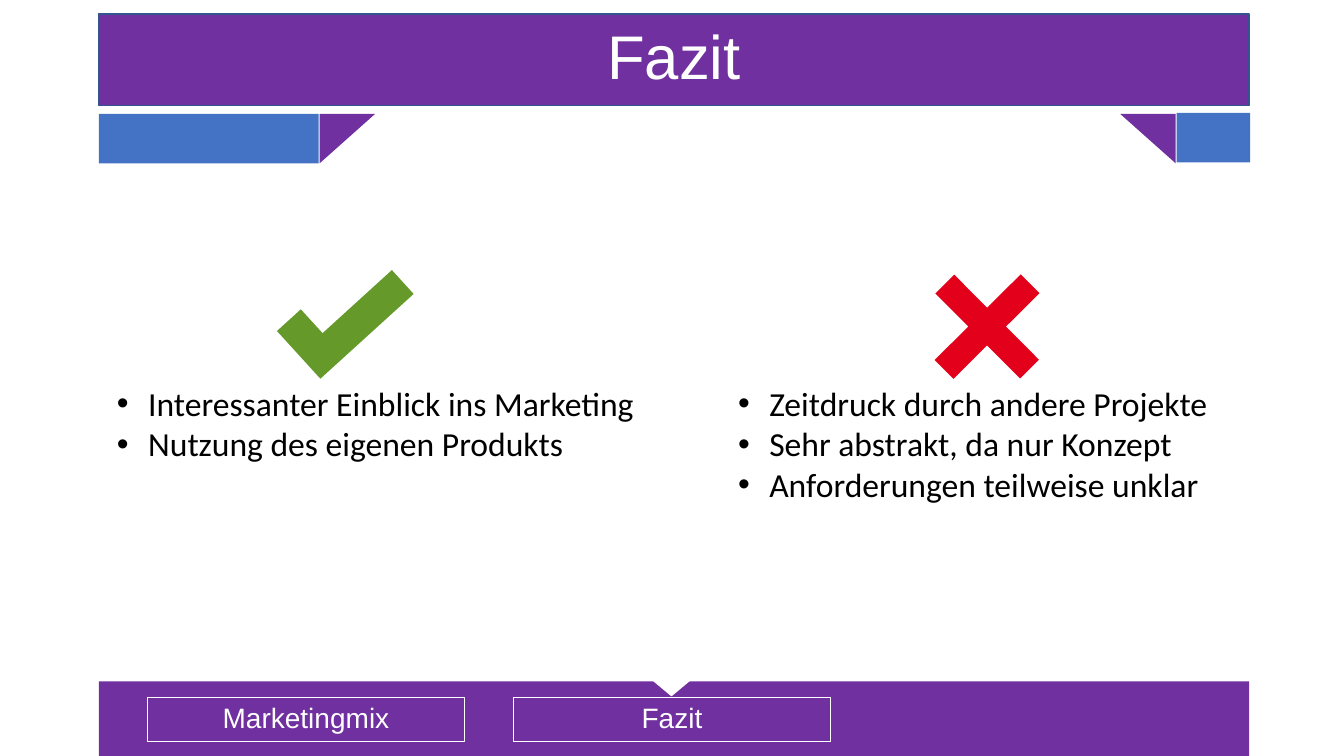
"""Build the closing slide with its pros, cons and section bar."""
from lxml import etree
from pptx import Presentation
from pptx.dml.color import RGBColor
from pptx.enum.shapes import MSO_SHAPE
from pptx.enum.text import MSO_ANCHOR, MSO_AUTO_SIZE, PP_ALIGN
from pptx.oxml.ns import qn
from pptx.util import Inches, Pt

RECT = MSO_SHAPE.RECTANGLE
WEDGE = MSO_SHAPE.RIGHT_TRIANGLE
NOTCH = MSO_SHAPE.ISOSCELES_TRIANGLE
CROSS = MSO_SHAPE.MATH_PLUS
MIDDLE, TOP = MSO_ANCHOR.MIDDLE, MSO_ANCHOR.TOP
CENTER, LEFT = PP_ALIGN.CENTER, PP_ALIGN.LEFT
FIXED = MSO_AUTO_SIZE.NONE

PURPLE = RGBColor(0x70, 0x30, 0xA0)
BLUE = RGBColor(0x44, 0x72, 0xC4)
NAVY = RGBColor(0x32, 0x54, 0x91)
GREEN = RGBColor(0x65, 0x9A, 0x2A)
RED = RGBColor(0xE2, 0x00, 0x1A)
WHITE = RGBColor(0xFF, 0xFF, 0xFF)
BLACK = RGBColor(0x00, 0x00, 0x00)


class Deck:
    """Hold the style and the current slide."""

    head, body = "Arial", "Calibri"

    def __init__(self, slide):
        self.slide = slide
        self.slots = {p.placeholder_format.idx: p for p in slide.placeholders}

    def edge(self, shape, color, width):
        """Outline a shape."""
        shape.line.color.rgb = color
        shape.line.width = Pt(width)

    def shape(self, kind, box, fill, turn=0, flip=None):
        """Add a filled preset shape."""
        item = self.slide.shapes.add_shape(kind, *map(Inches, box))
        item.shadow.inherit = False
        item.fill.solid()
        item.fill.fore_color.rgb = fill
        item.line.fill.background()
        item.rotation = turn
        if flip:
            item.element.spPr.find(qn("a:xfrm")).set(flip, "1")
        return item

    def check(self, box, fill, turn):
        """Add a check mark from a turned corner shape."""
        item = self.shape(RECT, box, fill, turn)
        item.element.spPr.find(qn("a:prstGeom")).set("prst", "corner")

    def text(self, slot, box, lines, size, font, color, align, anchor, space):
        """Fill a placeholder and bring it to the front."""
        item = self.slots[slot]
        item.element.getparent().append(item.element)
        item.left, item.top, item.width, item.height = map(Inches, box)
        frame = item.text_frame
        frame.text = "\n".join(lines)
        frame.word_wrap = True
        frame.auto_size = FIXED
        frame.vertical_anchor = anchor
        for para in frame.paragraphs:
            para.alignment = align
            para.line_spacing = space
            para.space_before = Pt(0)
            for run in para.runs:
                run.font.name = font
                run.font.size = Pt(size)
                run.font.bold = False
                run.font.color.rgb = color
        return item

    def title(self, box, words):
        """Set the title band."""
        item = self.text(0, box, [words], 44, self.head, WHITE, CENTER, MIDDLE, 0.9)
        item.fill.solid()
        item.fill.fore_color.rgb = PURPLE
        self.edge(item, NAVY, 1)

    def tab(self, slot, box, words):
        """Set an outlined section label."""
        item = self.text(slot, box, [words], 20, self.head, WHITE, CENTER, MIDDLE, 0.9)
        item.text_frame.paragraphs[0].space_before = Pt(10)
        self.edge(item, WHITE, 0.75)

    def list(self, slot, box, lines):
        """Set a bulleted list."""
        item = self.text(slot, box, lines, 24, self.body, BLACK, LEFT, TOP, 1.0)
        for para in item.text_frame.paragraphs:
            props = para._p.get_or_add_pPr()
            props.set("marL", str(Inches(0.31)))
            props.set("indent", str(-Inches(0.31)))
            etree.SubElement(props, qn("a:buFont")).set("typeface", "Arial")
            etree.SubElement(props, qn("a:buChar")).set("char", "•")


show = Presentation()
show.slide_width, show.slide_height = Inches(13.33), Inches(7.5)
deck = Deck(show.slides.add_slide(show.slide_layouts[4]))
edge, span = 0.98, 11.41

deck.shape(RECT, (edge, 6.76, span, 0.74), PURPLE)
notch = deck.shape(NOTCH, (6.48, 6.75, 0.36, 0.15), WHITE, flip="flipV")
deck.edge(notch, WHITE, 1)
deck.shape(RECT, (edge, 1.13, 2.18, 0.49), BLUE)
deck.shape(WEDGE, (3.2, 1.1, 0.49, 0.55), PURPLE, 90)
deck.shape(RECT, (11.67, 1.12, 0.73, 0.49), BLUE)
deck.shape(WEDGE, (11.14, 1.1, 0.49, 0.55), PURPLE, 270, "flipH")

deck.title((edge, 0.14, span, 0.91), "Fazit")
for col, (slot, words) in enumerate([(1, "Marketingmix"), (3, "Fazit")]):
    deck.tab(slot, (1.46 + 3.63 * col, 6.92, 3.15, 0.44), words)

deck.check((2.8, 2.78, 1.25, 0.64), GREEN, 317.7)
deck.list(2, (1.06, 3.75, 5.38, 1.21), [
    "Interessanter Einblick ins Marketing",
    "Nutzung des eigenen Produkts",
])
cross = deck.shape(CROSS, (8.98, 2.42, 1.62, 1.64), RED, 45.1)
cross.adjustments[0] = 0.163
deck.list(4, (7.22, 3.75, 4.91, 2.02), [
    "Zeitdruck durch andere Projekte",
    "Sehr abstrakt, da nur Konzept",
    "Anforderungen teilweise unklar",
])

show.save("out.pptx")
